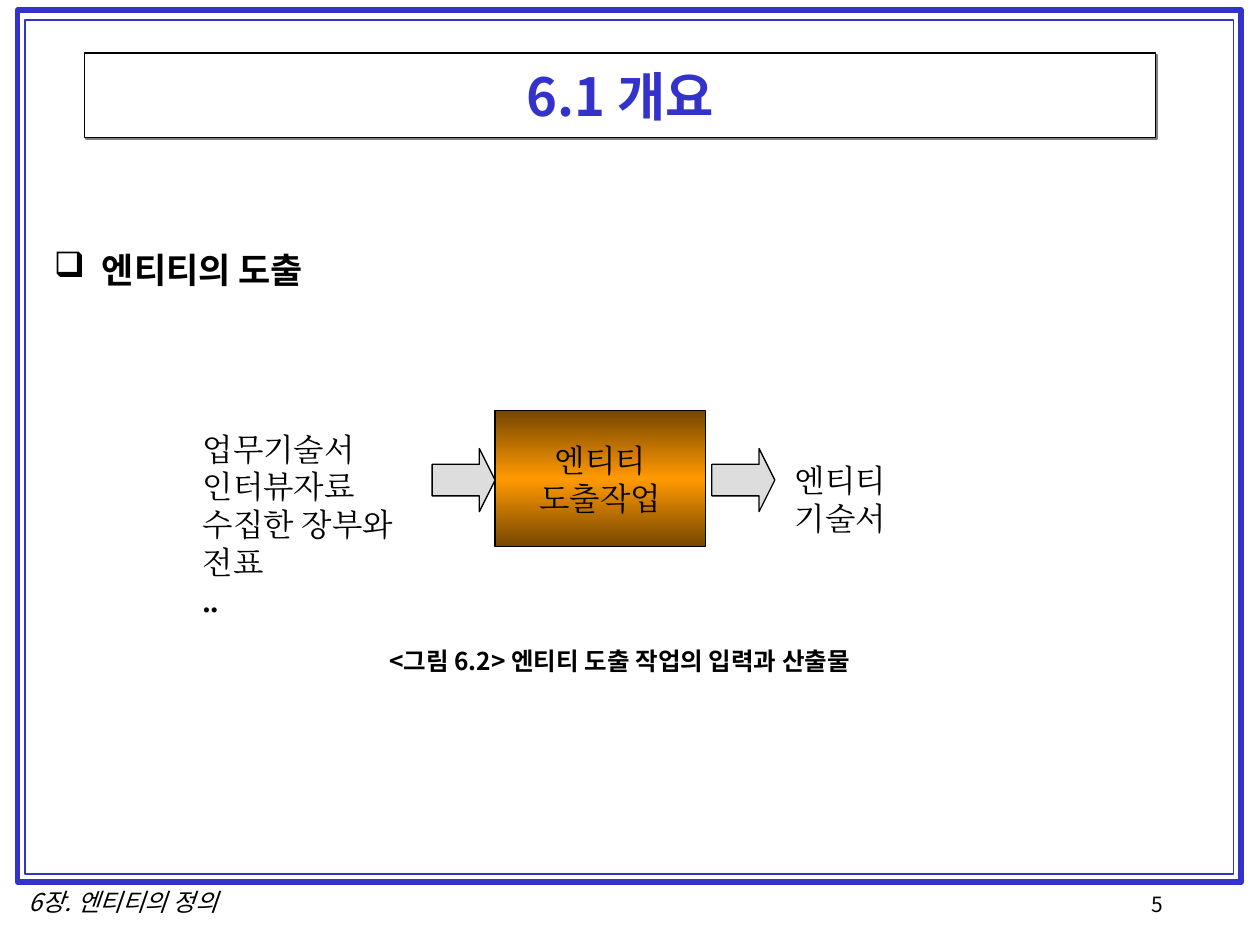
from copy import deepcopy
from dataclasses import dataclass
from typing import NamedTuple

from lxml.etree import SubElement
from pptx import Presentation
from pptx.dml.color import RGBColor
from pptx.enum.shapes import MSO_SHAPE
from pptx.enum.text import MSO_ANCHOR, PP_ALIGN
from pptx.oxml.ns import qn
from pptx.util import Inches, Pt

WIDE, HIGH = Inches(10), Inches(7.5)
SANS, SERIF = "Noto Sans CJK KR", "Times New Roman"
HUES = {
    "blue": "3333CC", "ink": "000000", "paper": "FFFFFF", "gray": "DDDDDD",
    "shade": "808080", "brown": "764700", "orange": "FF9900",
}


class Area(NamedTuple):
    """Left, top, width and height in percent of the slide."""
    x: float
    y: float
    w: float
    h: float

    def scale(self) -> list[int]:
        sides = (WIDE, HIGH, WIDE, HIGH)
        return [round(part * side / 100) for part, side in zip(self, sides)]


@dataclass
class Style:
    size: float
    face: str = SANS
    hue: str = "ink"
    bold: bool = False
    slant: bool = False
    align: PP_ALIGN = PP_ALIGN.LEFT
    wrap: bool = False


@dataclass
class Label:
    area: Area
    text: str
    style: Style


FRAMES = [(Area(1.4, 1.07, 97.1, 92.27), 3), (Area(2, 2.13, 95.9, 90.4), 1)]
TITLE = Area(6.7, 5.6, 85, 8.93)
TASK = Area(39.3, 43.47, 16.7, 14.4)
ARROWS = [Area(x, 47.47, 5, 6.67) for x in (TASK.x - 5, TASK.x + 17.2)]
PLAIN = Style(18, SERIF)
CENTER = PP_ALIGN.CENTER
HEAD = Label(Area(3.3, 25.6, 92.8, 65.07), "엔티티의 도출",
             Style(20, bold=True, wrap=True))
INPUT = Label(Area(15.1, 44.8, 21.8, 17.33),
              "업무기술서\n인터뷰자료\n수집한 장부와 전표\n..", PLAIN)
LABELS = [
    Label(Area(90.4, 93.73, 10.2, 4.4), "5", Style(12)),
    Label(Area(0.5, 93.2, 18.6, 4.53), "6장. 엔티티의 정의",
          Style(14, slant=True, align=CENTER)),
    Label(Area(29.9, 67.73, 40.3, 4.53),
          "<그림 6.2> 엔티티 도출 작업의 입력과 산출물",
          Style(14, bold=True, wrap=True)),
    Label(Area(62.1, 48.13, 16.5, 5.33), "엔티티 기술서", PLAIN),
]


def color(hue: str) -> RGBColor:
    return RGBColor.from_string(HUES[hue])


def write(frame, text: str, style: Style) -> None:
    frame.text = text
    frame.word_wrap = style.wrap
    for para in frame.paragraphs:
        para.alignment = style.align
        for run in para.runs:
            font = run.font
            font.size, font.name = Pt(style.size), style.face
            font.bold, font.italic = style.bold, style.slant
            font.color.rgb = color(style.hue)
            SubElement(font._element, qn("a:ea"), typeface=style.face)


def add_label(slide, label: Label):
    box = slide.shapes.add_textbox(*label.area.scale())
    write(box.text_frame, label.text, label.style)
    return box


def add_form(slide, kind: MSO_SHAPE, area: Area, fill: str = "",
             line: str = "ink", width: float = 0.75):
    form = slide.shapes.add_shape(kind, *area.scale())
    form.shadow.inherit = False
    if fill:
        form.fill.solid()
        form.fill.fore_color.rgb = color(fill)
    else:
        form.fill.background()
    form.line.color.rgb = color(line)
    form.line.width = Pt(width)
    form.text_frame.vertical_anchor = MSO_ANCHOR.MIDDLE
    return form


def cast_shadow(form) -> None:
    effects = form._element.spPr.find(qn("a:effectLst"))
    drop = SubElement(effects, qn("a:outerShdw"), dist=str(Pt(1.4)),
                      dir="2700000", algn="ctr", rotWithShape="0")
    SubElement(drop, qn("a:srgbClr"), val=HUES["shade"])


def blend(form, hues: list[str]) -> None:
    """Fill a shape from top to bottom with evenly spaced hues."""
    form.fill.gradient()
    form.fill.gradient_angle = 90
    stops = form._element.spPr.find(qn("a:gradFill")).find(qn("a:gsLst"))
    while len(stops) < len(hues):
        stops.append(deepcopy(stops[0]))
    for i, (stop, hue) in enumerate(zip(form.fill.gradient_stops, hues)):
        stop.position = i / (len(hues) - 1)
        stop.color.rgb = color(hue)


def add_bullet(para, mark: str) -> None:
    props = para._p.get_or_add_pPr()
    indent = Inches(0.38)
    props.set("marL", str(indent))
    props.set("indent", str(-indent))
    SubElement(props, qn("a:buChar"), char=mark)


def main() -> None:
    deck = Presentation()
    deck.slide_width, deck.slide_height = WIDE, HIGH
    slide = deck.slides.add_slide(deck.slide_layouts[6])

    for area, width in FRAMES:
        add_form(slide, MSO_SHAPE.RECTANGLE, area, line="blue", width=width)

    title = add_form(slide, MSO_SHAPE.RECTANGLE, TITLE, "paper")
    cast_shadow(title)
    write(title.text_frame, "6.1 개요",
          Style(30, hue="blue", bold=True, align=CENTER, wrap=True))

    head = add_label(slide, HEAD)
    add_bullet(head.text_frame.paragraphs[0], "❑")

    task = add_form(slide, MSO_SHAPE.RECTANGLE, TASK)
    blend(task, ["brown", "orange", "brown"])
    write(task.text_frame, "엔티티\n도출작업", Style(18, SERIF, align=CENTER))

    for area in ARROWS:
        arrow = add_form(slide, MSO_SHAPE.RIGHT_ARROW, area, "gray")
        arrow.adjustments[0], arrow.adjustments[1] = 0.5, 0.25

    for label in LABELS:
        add_label(slide, label)
    source = add_label(slide, INPUT)
    source.text_frame.paragraphs[-1].runs[0].font.bold = True

    deck.save("out.pptx")


if __name__ == "__main__":
    main()
